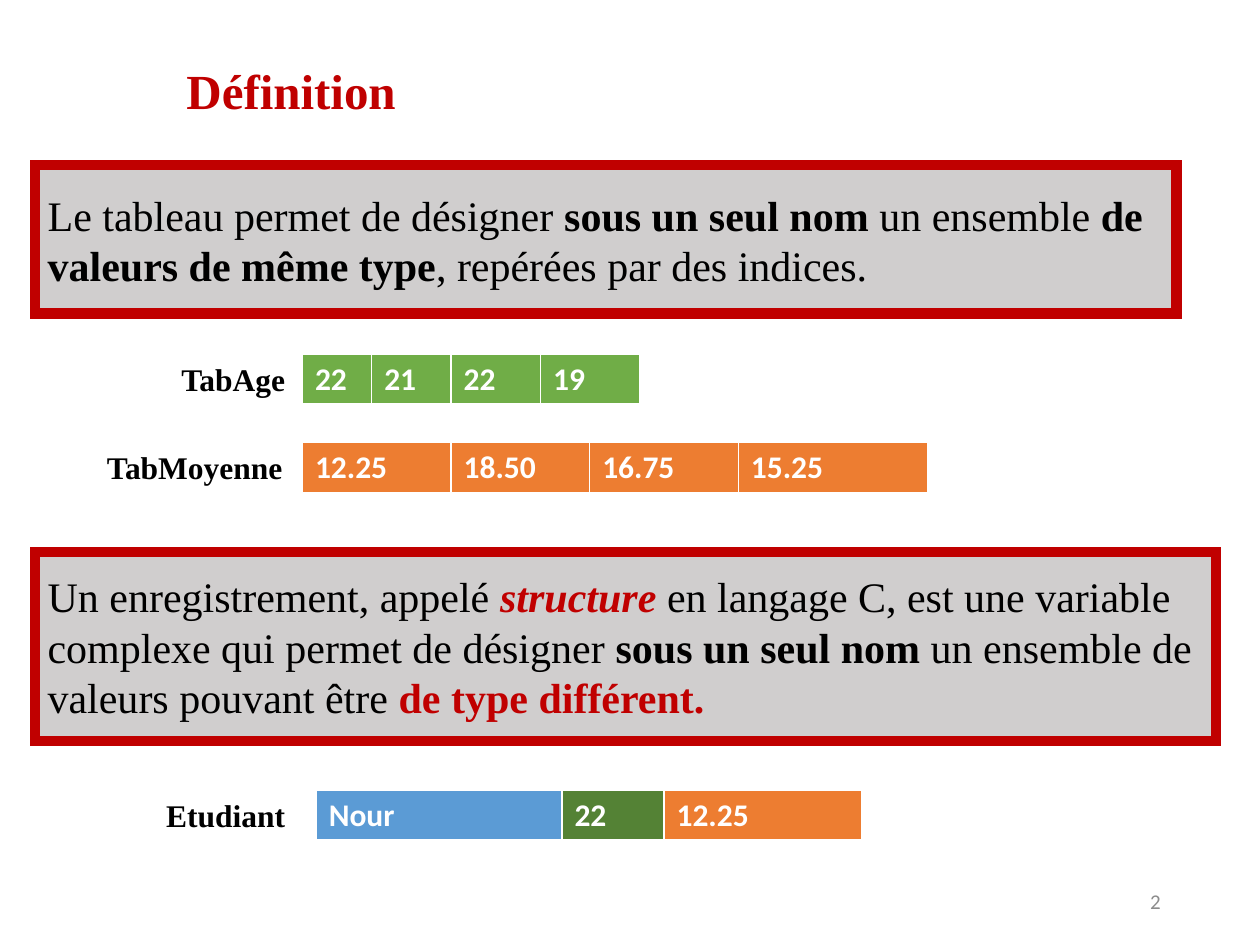
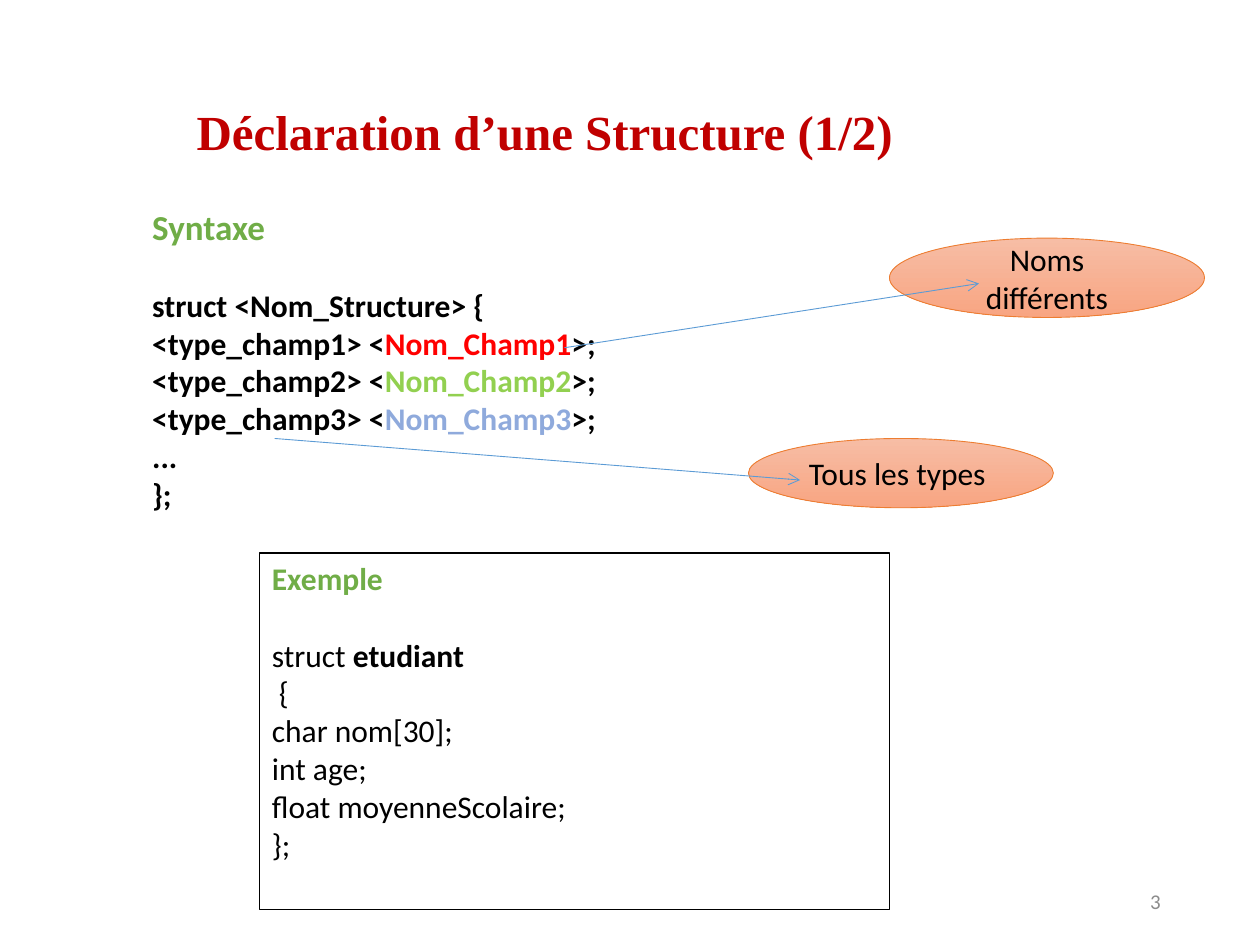
"""Build two slides on arrays and structures in C."""
import pptx
import pptx.dml.color
import pptx.enum.shapes
import pptx.enum.text
import pptx.oxml
import pptx.oxml.ns
import pptx.util
from pptx.util import Inches

RED, GREEN, ORANGE, BLUE = "C00000", "70AD47", "ED7D31", "5B9BD5"
BLACK, WHITE, GREY = "000000", "FFFFFF", "D0CECE"
SERIF = {"name": "Times New Roman", "color": BLACK}
SANS = {"name": "Calibri", "color": BLACK, "size": 18}
BOLD = {"bold": True}
HEAD = SERIF | BOLD | {"size": 28, "color": RED}
LABEL = SERIF | BOLD | {"size": 18}
KINDS = pptx.enum.shapes.MSO_SHAPE
ALIGN = pptx.enum.text.PP_ALIGN
MIDDLE = pptx.enum.text.MSO_ANCHOR.MIDDLE
SPACE = pptx.oxml.ns.nsdecls("a")


def hue(code):
    return pptx.dml.color.RGBColor.from_string(code)


def write(frame, lines, base, align=ALIGN.LEFT, gap=0):
    for num, line in enumerate(lines):
        para = frame.add_paragraph() if num else frame.paragraphs[0]
        para.alignment = align
        if num == 1 and gap:
            para.space_before = pptx.util.Pt(gap)
        for text, style in line:
            run = para.add_run()
            run.text = text
            for key, val in (base | style).items():
                if key == "color":
                    run.font.color.rgb = hue(val)
                else:
                    setattr(run.font, key, pptx.util.Pt(val) if key == "size" else val)


deck = pptx.Presentation()
deck.slide_width, deck.slide_height = Inches(10), Inches(7.5)

titles = [
    ("Définition", 0.89, 0.43, 0.59),
    ("Déclaration d’une Structure (1/2)", 0.67, 0.76, 0.89),
]
for num, (title, left, top, inset) in enumerate(titles, 2):
    slide = deck.slides.add_slide(deck.slide_layouts[6])
    frame = slide.shapes.add_textbox(
        Inches(left), Inches(top), Inches(6.83), Inches(0.57)).text_frame
    frame.word_wrap = True
    frame.margin_left = Inches(inset)
    write(frame, [[(title, {})]], HEAD)
    frame = slide.shapes.add_textbox(
        Inches(7.06), Inches(6.95), Inches(2.25), Inches(0.4)).text_frame
    frame.word_wrap = True
    frame.vertical_anchor = MIDDLE
    write(frame, [[(str(num), {})]], SANS | {"size": 12, "color": "8C8C8C"}, ALIGN.RIGHT)

first, second = deck.slides

panels = [
    (1.31, 9.06, 1.18, [
        ("Le tableau permet de désigner ", {}),
        ("sous un seul nom ", BOLD),
        ("un ensemble ", {}),
        ("de valeurs de même type", BOLD),
        (", repérées par des indices.", {}),
    ]),
    (4.38, 9.37, 1.5, [
        ("Un enregistrement, appelé ", {}),
        ("structure ", {"color": RED, "bold": True, "italic": True}),
        ("en langage C, est une variable complexe qui permet de désigner ", {}),
        ("sous un seul nom ", BOLD),
        ("un ensemble de valeurs pouvant être ", {}),
        ("de type différent.", BOLD | {"color": RED}),
    ]),
]
for top, wide, high, runs in panels:
    panel = first.shapes.add_shape(
        KINDS.RECTANGLE, Inches(0.28), Inches(top), Inches(wide), Inches(high))
    panel.shadow.inherit = False
    panel.fill.solid()
    panel.fill.fore_color.rgb = hue(GREY)
    panel.line.color.rgb = hue(RED)
    panel.line.width = pptx.util.Pt(6)
    panel.line._get_or_add_ln().append(
        pptx.oxml.parse_xml(f'<a:miter {SPACE} lim="800000"/>'))
    panel.text_frame.vertical_anchor = MIDDLE
    write(panel.text_frame, [runs], SERIF | {"size": 24})

rows = [
    ("TabAge", 1.34, 1.02, 2.4, 2.81,
     [("22", 0.55, GREEN), ("21", 0.63, GREEN), ("22", 0.71, GREEN), ("19", 0.79, GREEN)]),
    ("TabMoyenne", 0.75, 1.59, 2.4, 3.51,
     [("12.25", 1.18, ORANGE), ("18.50", 1.1, ORANGE),
      ("16.75", 1.18, ORANGE), ("15.25", 1.5, ORANGE)]),
    ("Etudiant", 1.22, 1.14, 2.51, 6.27,
     [("Nour", 1.95, BLUE), ("22", 0.81, "548235"), ("12.25", 1.57, ORANGE)]),
]
for label, left, wide, start, top, cells in rows:
    frame = first.shapes.add_textbox(
        Inches(left), Inches(top), Inches(wide), Inches(0.4)).text_frame
    frame.word_wrap = False
    frame.margin_right = 0
    write(frame, [[(label, {})]], LABEL)
    total = sum(cell[1] for cell in cells)
    table = first.shapes.add_table(
        1, len(cells), Inches(start), Inches(top), Inches(total), Inches(0.41)).table
    for col, (text, size, fill) in enumerate(cells):
        table.columns[col].width = Inches(size)
        cell = table.cell(0, col)
        write(cell.text_frame, [[(text, {})]], SANS | BOLD | {"color": WHITE})
        props = cell._tc.get_or_add_tcPr()
        for side, pts in {"L": 1, "R": 1, "T": 1, "B": 3}.items():
            props.append(pptx.oxml.parse_xml(
                f'<a:ln{side} {SPACE} w="{pts * 12700}">'
                f'<a:solidFill><a:srgbClr val="{WHITE}"/></a:solidFill></a:ln{side}>'))
        cell.fill.solid()
        cell.fill.fore_color.rgb = hue(fill)

syntax = [[("Syntaxe", {"size": 20, "color": GREEN})], [("struct <Nom_Structure> {", {})]]
for num, tint in enumerate(["FF0000", "92D050", "8FAADC"], 1):
    syntax.append([(f"<type_champ{num}> <", {}),
                   (f"Nom_Champ{num}", {"color": tint}), (">;", {})])
syntax += [[("...", {})], [("};", {})]]
frame = second.shapes.add_textbox(
    Inches(1.11), Inches(1.58), Inches(5.63), Inches(2.56)).text_frame
frame.word_wrap = True
write(frame, syntax, SANS | BOLD, gap=22)

sample = [[("Exemple", BOLD | {"color": GREEN})], [("struct ", {}), ("etudiant", BOLD)]]
for code in [" {", "char nom[30];", "int age;", "float moyenneScolaire;", "};"]:
    sample.append([(code, {})])
box = second.shapes.add_shape(
    KINDS.RECTANGLE, Inches(2.06), Inches(4.39), Inches(5), Inches(2.83))
box.shadow.inherit = False
box.fill.background()
box.line.color.rgb = hue(BLACK)
box.line.width = pptx.util.Pt(0.75)
box.text_frame.vertical_anchor = pptx.enum.text.MSO_ANCHOR.TOP
write(box.text_frame, sample, SANS, gap=22)

notes = [
    ("Noms différents", (7.06, 1.89, 2.5, 0.63), (4.48, 2.76, 7.77, 2.25)),
    ("Tous les types ", (5.94, 3.48, 2.42, 0.55), (2.18, 3.48, 6.35, 3.81)),
]
for text, place, ends in notes:
    oval = second.shapes.add_shape(KINDS.OVAL, *map(Inches, place))
    oval.shadow.inherit = False
    oval.fill.gradient()
    oval.fill.gradient_angle = 270
    for stop, tint in zip(oval.fill.gradient_stops, ["F7BDA5", "F8A582"]):
        stop.color.rgb = hue(tint)
    oval.line.color.rgb = hue(ORANGE)
    oval.line.width = pptx.util.Pt(0.5)
    oval.text_frame.vertical_anchor = MIDDLE
    write(oval.text_frame, [[(text, {})]], SANS, ALIGN.CENTER)

    arrow = second.shapes.add_connector(
        pptx.enum.shapes.MSO_CONNECTOR.STRAIGHT, *map(Inches, ends))
    arrow.line.color.rgb = hue(BLUE)
    arrow.line.width = pptx.util.Pt(0.5)
    arrow.line._get_or_add_ln().append(
        pptx.oxml.parse_xml(f'<a:tailEnd {SPACE} type="arrow"/>'))
    arrow._element.spPr.append(pptx.oxml.parse_xml(f"<a:effectLst {SPACE}/>"))

deck.save("out.pptx")
